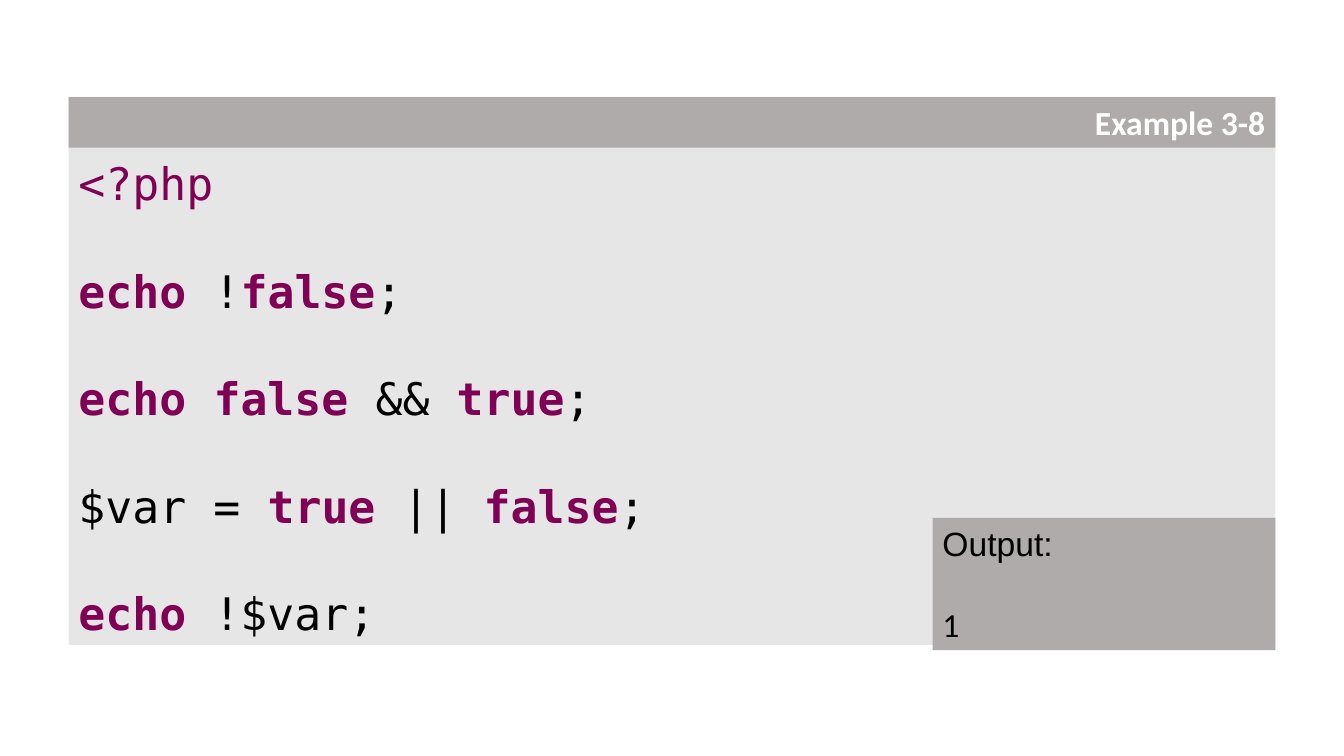
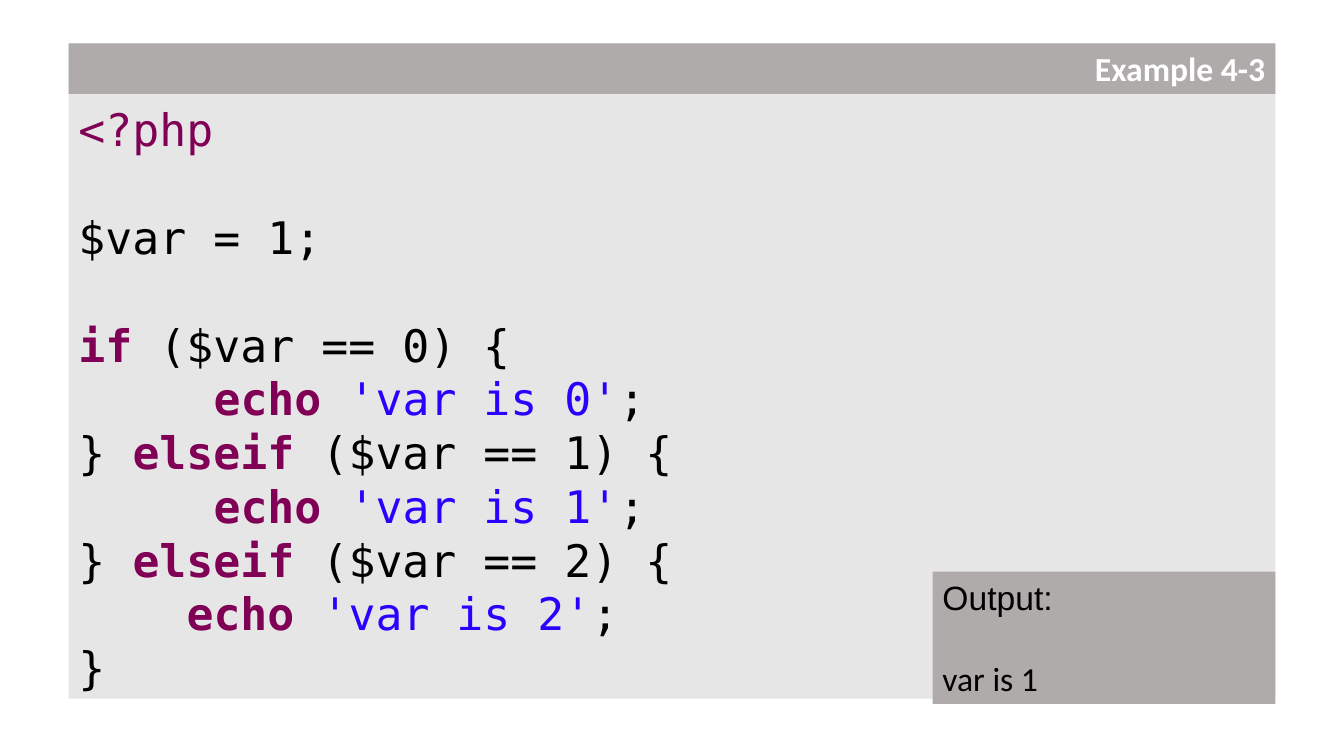
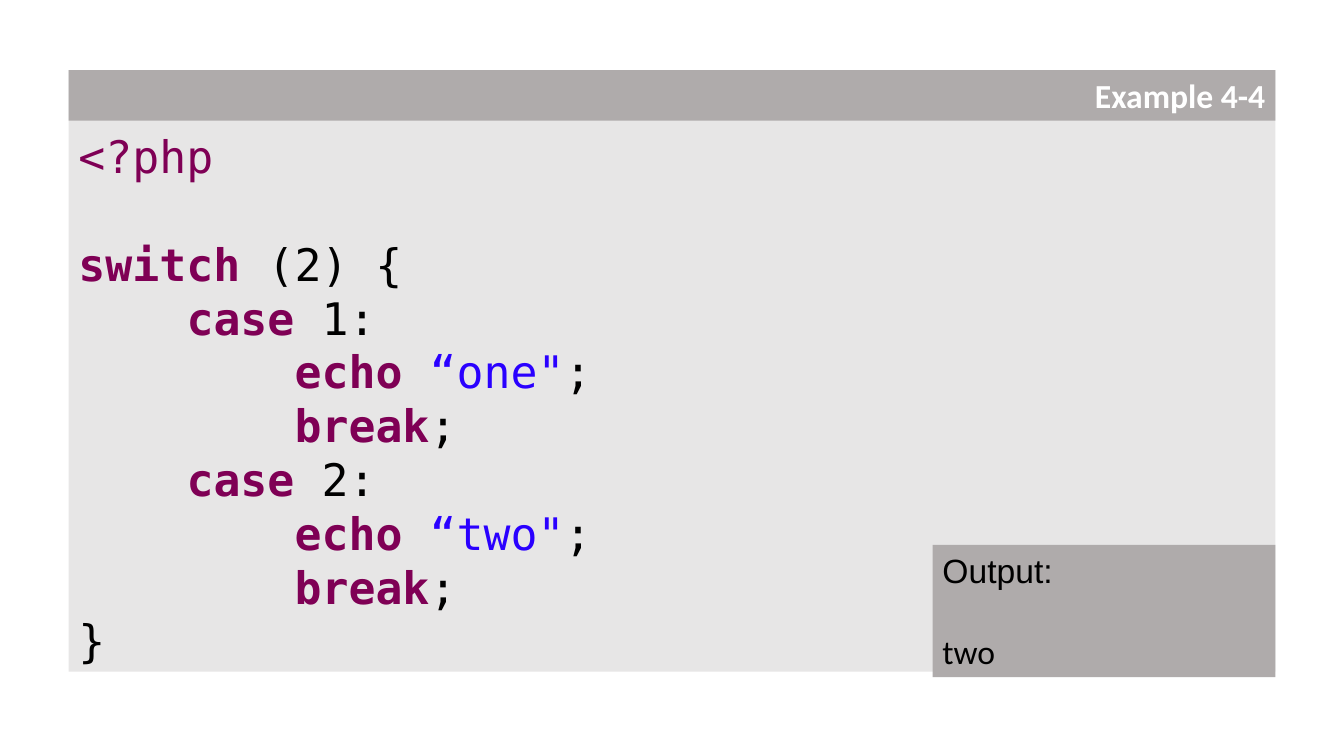
from collections.abc import Iterator
from dataclasses import dataclass
from itertools import groupby

from pptx import Presentation
from pptx.dml.color import RGBColor
from pptx.enum.shapes import MSO_SHAPE
from pptx.enum.text import MSO_ANCHOR, MSO_AUTO_SIZE, PP_ALIGN
from pptx.shapes.autoshape import Shape
from pptx.slide import Slide
from pptx.util import Inches, Pt


@dataclass(frozen=True)
class Theme:
    panel: RGBColor = RGBColor(0xE7, 0xE6, 0xE6)
    band: RGBColor = RGBColor(0xAF, 0xAB, 0xAB)
    title: RGBColor = RGBColor(0xFF, 0xFF, 0xFF)
    plain: RGBColor = RGBColor(0, 0, 0)
    keyword: RGBColor = RGBColor(0x7F, 0x00, 0x55)
    string: RGBColor = RGBColor(0x2A, 0x00, 0xFF)
    code_font: str = "DejaVu Sans Mono"
    text_font: str = "Calibri"
    label_font: str = "Arial"
    code_size: Pt = Pt(32)
    text_size: Pt = Pt(24)
    code_line: Pt = Pt(38.4)
    text_line: Pt = Pt(29.3)


@dataclass(frozen=True)
class Area:
    left: float
    top: float
    right: float
    bottom: float


@dataclass(frozen=True)
class Example:
    title: str
    code: str
    output: str


THEME = Theme()
SLIDE_WIDTH = Inches(13.33)
SLIDE_HEIGHT = Inches(7.5)
COLUMN = SLIDE_WIDTH / 196
ROW = THEME.code_line
LEFT, OUTPUT_LEFT, RIGHT = 10, 136, 186
MIDDLE = 6.9
HEADER_ROWS = 0.94
OUTPUT_ROWS = 2.46
PADDING_ROWS = 0.19
OVERHANG_ROWS = 0.1

OPENING_TAG = "<?php"
KEYWORDS = {"echo", "true", "false", "if", "elseif", "switch", "case", "break"}
QUOTES = "'\"“"

EXAMPLES = [
    Example("Example 3-8", """<?php

echo !false;

echo false && true;

$var = true || false;

echo !$var;""", "1"),
    Example("Example 4-3", """<?php

$var = 1;

if ($var == 0) {
     echo 'var is 0';
} elseif ($var == 1) {
     echo 'var is 1';
} elseif ($var == 2) {
    echo 'var is 2';
}""", "var is 1"),
    Example("Example 4-4", """<?php

switch (2) {
    case 1:
        echo “one";
        break;
    case 2:
        echo “two";
        break;
}""", "two"),
]


def string_marks(line: str) -> list[bool]:
    marks, inside = [], False
    for character in line:
        is_quote = character in QUOTES
        marks.append(inside or is_quote)
        inside ^= is_quote
    return marks


def tokens(line: str) -> Iterator[tuple[str, RGBColor, bool]]:
    if line == OPENING_TAG:
        yield line, THEME.keyword, False
        return
    marked = zip(line, string_marks(line))
    for (quoted, _), group in groupby(marked, lambda pair: (pair[1], pair[1] or pair[0].isalpha())):
        text = "".join(character for character, _ in group)
        is_keyword = not quoted and text in KEYWORDS
        color = THEME.string if quoted else THEME.keyword if is_keyword else THEME.plain
        yield text, color, is_keyword


def place(shape: Shape, area: Area, fill: RGBColor, anchor: MSO_ANCHOR) -> None:
    shape.left, shape.top = round(area.left * COLUMN), round(area.top * ROW)
    shape.width = round((area.right - area.left) * COLUMN)
    shape.height = round((area.bottom - area.top) * ROW)
    shape.fill.solid()
    shape.fill.fore_color.rgb = fill
    shape.line.fill.background()
    frame = shape.text_frame
    frame.word_wrap = True
    frame.auto_size = MSO_AUTO_SIZE.NONE
    frame.vertical_anchor = anchor


def add_panel(slide: Slide, area: Area, fill: RGBColor, anchor: MSO_ANCHOR) -> Shape:
    shape = slide.shapes.add_shape(MSO_SHAPE.RECTANGLE, 0, 0, 0, 0)
    shape.shadow.inherit = False
    place(shape, area, fill, anchor)
    return shape


def add_code(slide: Slide, area: Area, code: str) -> None:
    frame = add_panel(slide, area, THEME.panel, MSO_ANCHOR.BOTTOM).text_frame
    paragraph, gap = frame.paragraphs[0], 0
    for number, line in enumerate(code.split("\n")):
        if not line:
            gap += THEME.code_line
            continue
        if number:
            paragraph = frame.add_paragraph()
        paragraph.alignment = PP_ALIGN.LEFT
        paragraph.line_spacing = THEME.code_line
        paragraph.space_before = Pt(gap / Pt(1))
        paragraph.font.name, paragraph.font.size = THEME.code_font, THEME.code_size
        for text, color, bold in tokens(line):
            run = paragraph.add_run()
            run.text = text
            run.font.color.rgb, run.font.bold = color, bold
        gap = 0


def add_output(slide: Slide, area: Area, output: str) -> None:
    frame = add_panel(slide, area, THEME.band, MSO_ANCHOR.TOP).text_frame
    frame.text = f"Output:\n{output}"
    for paragraph, font in zip(frame.paragraphs, (THEME.label_font, THEME.text_font)):
        paragraph.alignment = PP_ALIGN.LEFT
        paragraph.font.name, paragraph.font.size = font, THEME.text_size
        paragraph.font.color.rgb = THEME.plain
    frame.paragraphs[1].space_before = THEME.text_line


def set_title(slide: Slide, area: Area, text: str) -> None:
    title = slide.shapes.title
    slide.shapes.element.append(title.element)
    place(title, area, THEME.band, MSO_ANCHOR.TOP)
    title.text_frame.text = text
    paragraph = title.text_frame.paragraphs[0]
    paragraph.alignment = PP_ALIGN.RIGHT
    paragraph.font.name, paragraph.font.size = THEME.text_font, THEME.text_size
    paragraph.font.bold = True
    paragraph.font.color.rgb = THEME.title


def add_example(slide: Slide, example: Example) -> None:
    rows = len(example.code.split("\n")) + 1 + PADDING_ROWS
    top, bottom = MIDDLE - rows / 2, MIDDLE + rows / 2
    output_bottom = bottom + OVERHANG_ROWS
    add_code(slide, Area(LEFT, top, RIGHT, bottom), example.code)
    add_output(slide, Area(OUTPUT_LEFT, output_bottom - OUTPUT_ROWS, RIGHT, output_bottom), example.output)
    set_title(slide, Area(LEFT, top, RIGHT, top + HEADER_ROWS), example.title)


def main() -> None:
    presentation = Presentation()
    presentation.slide_width, presentation.slide_height = SLIDE_WIDTH, SLIDE_HEIGHT
    title_only = presentation.slide_layouts[5]
    for example in EXAMPLES:
        add_example(presentation.slides.add_slide(title_only), example)
    presentation.save("out.pptx")


if __name__ == "__main__":
    main()
